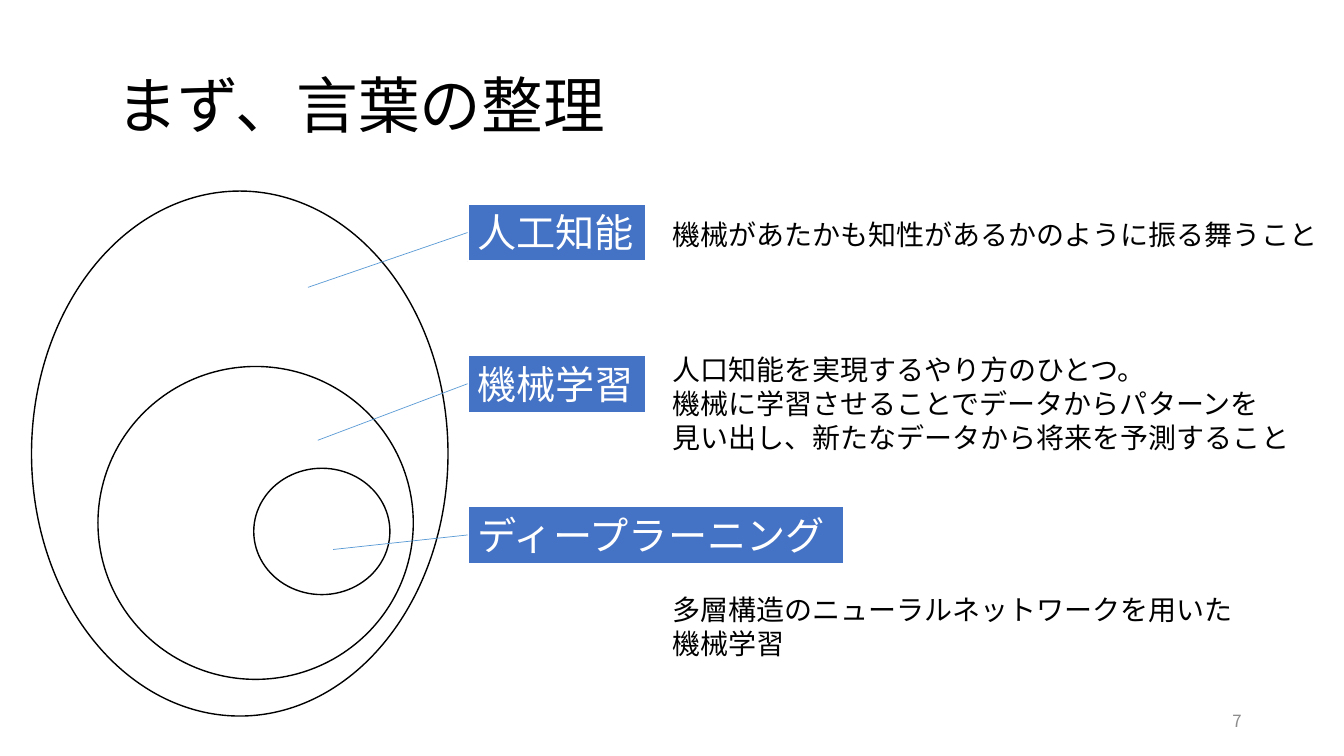
from lxml.etree import SubElement
from pptx import Presentation
from pptx.dml.color import RGBColor
from pptx.enum.shapes import MSO_CONNECTOR, MSO_SHAPE
from pptx.enum.text import MSO_ANCHOR, PP_ALIGN
from pptx.oxml.ns import qn
from pptx.util import Pt

FONT = "Noto Sans CJK JP"
COLORS = {"black": "000000", "white": "FFFFFF", "label": "4472C4",
          "line": "5B9BD5", "number": "8C8C8C"}

# Nested sets: left, top, width, height
OVALS = [(22.5, 136.5, 297.5, 375), (70, 261.75, 225.25, 223.5),
         (181.25, 334.5, 97.25, 90.25)]

# Terms: name, label width, line end in its oval, text top, text height, text
TERMS = [
    ("人工知能", 127.25, (220, 205.25), 152, 31.5,
     ["機械があたかも知性があるかのように振る舞うこと"]),
    ("機械学習", 127.25, (227, 314.5), 248.5, 80,
     ["人口知能を実現するやり方のひとつ。",
      "機械に学習させることでデータからパターンを",
      "見い出し、新たなデータから将来を予測すること"]),
    ("ディープラーニング", 269.25, (238, 392.5), 419.75, 55.75,
     ["多層構造のニューラルネットワークを用いた", "機械学習"]),
]
LEFT, TOP, STEP, HIGH = 334, 145.5, 108, 41.25
TEXT_LEFT, TEXT_WIDE = 473, 480


def color(name):
    return RGBColor.from_string(COLORS[name])


def write(frame, lines, size, tone="black", align=PP_ALIGN.LEFT,
          anchor=MSO_ANCHOR.TOP, wrap=True, space=None):
    frame.word_wrap = wrap
    frame.vertical_anchor = anchor
    for i, line in enumerate(lines):
        para = frame.paragraphs[0] if i == 0 else frame.add_paragraph()
        para.text = line
        para.alignment = align
        para.line_spacing = space
        font = para.font
        font.size = Pt(size)
        font.color.rgb = color(tone)
        font.name = FONT
        # Japanese glyphs take the East Asian typeface
        base = para._p.pPr.find(qn("a:defRPr"))
        SubElement(base, qn("a:ea")).set("typeface", FONT)


def add_text(slide, box, lines, size, **style):
    shape = slide.shapes.add_textbox(*map(Pt, box))
    write(shape.text_frame, lines, size, **style)


def add_form(slide, kind, box, fill, line, width):
    shape = slide.shapes.add_shape(kind, *map(Pt, box))
    shape.shadow.inherit = False
    shape.fill.solid()
    shape.fill.fore_color.rgb = color(fill)
    shape.line.color.rgb = color(line)
    shape.line.width = Pt(width)
    return shape


def add_label(slide, box, name):
    label = add_form(slide, MSO_SHAPE.RECTANGLE, box, "label", "white", 1.5)
    write(label.text_frame, [name], 28, tone="white", wrap=False)
    return label


def add_link(slide, label, end):
    x, y = map(Pt, end)
    link = slide.shapes.add_connector(MSO_CONNECTOR.STRAIGHT, x, y, x, y)
    link.begin_connect(label, 1)
    link.line.color.rgb = color("line")
    link.line.width = Pt(0.5)
    SubElement(link._element.spPr, qn("a:effectLst"))


def main():
    deck = Presentation()
    deck.slide_width, deck.slide_height = Pt(960), Pt(540)
    slide = deck.slides.add_slide(deck.slide_layouts[6])

    # Title
    add_text(slide, (76, 25.5, 828, 104.25), ["まず、言葉の整理"], 44,
             anchor=MSO_ANCHOR.MIDDLE, space=0.9)

    # Nested sets
    for box in OVALS:
        add_form(slide, MSO_SHAPE.OVAL, box, "white", "black", 1)

    # Labels, lines and meanings
    for i, (name, wide, end, top, high, lines) in enumerate(TERMS):
        label = add_label(slide, (LEFT, TOP + i * STEP, wide, HIGH), name)
        add_link(slide, label, end)
        add_text(slide, (TEXT_LEFT, top, TEXT_WIDE, high), lines, 20)

    # Slide number
    add_text(slide, (678, 500.5, 216, 28.75), ["7"], 12, tone="number",
             align=PP_ALIGN.RIGHT, anchor=MSO_ANCHOR.MIDDLE)

    deck.save("out.pptx")


if __name__ == "__main__":
    main()
